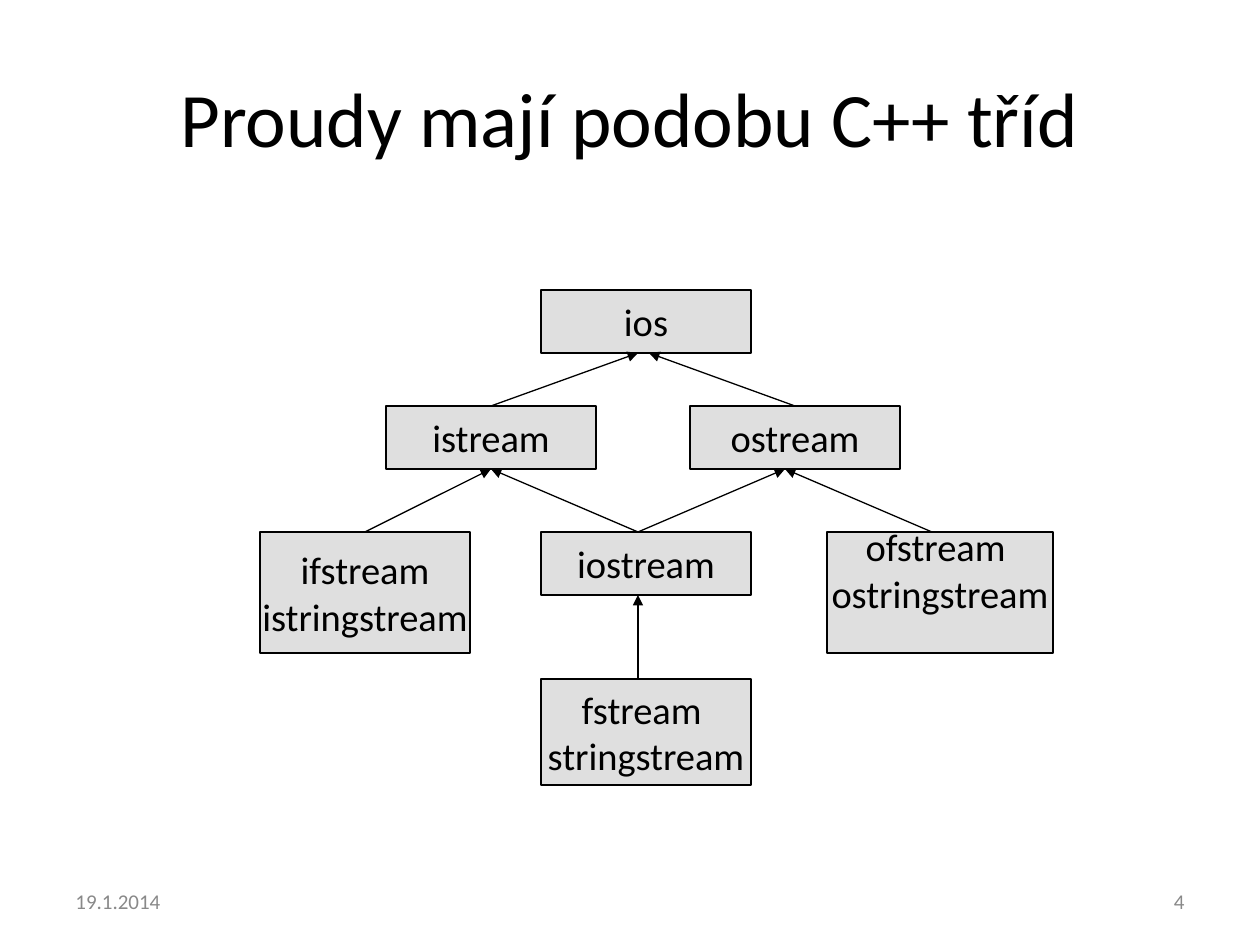
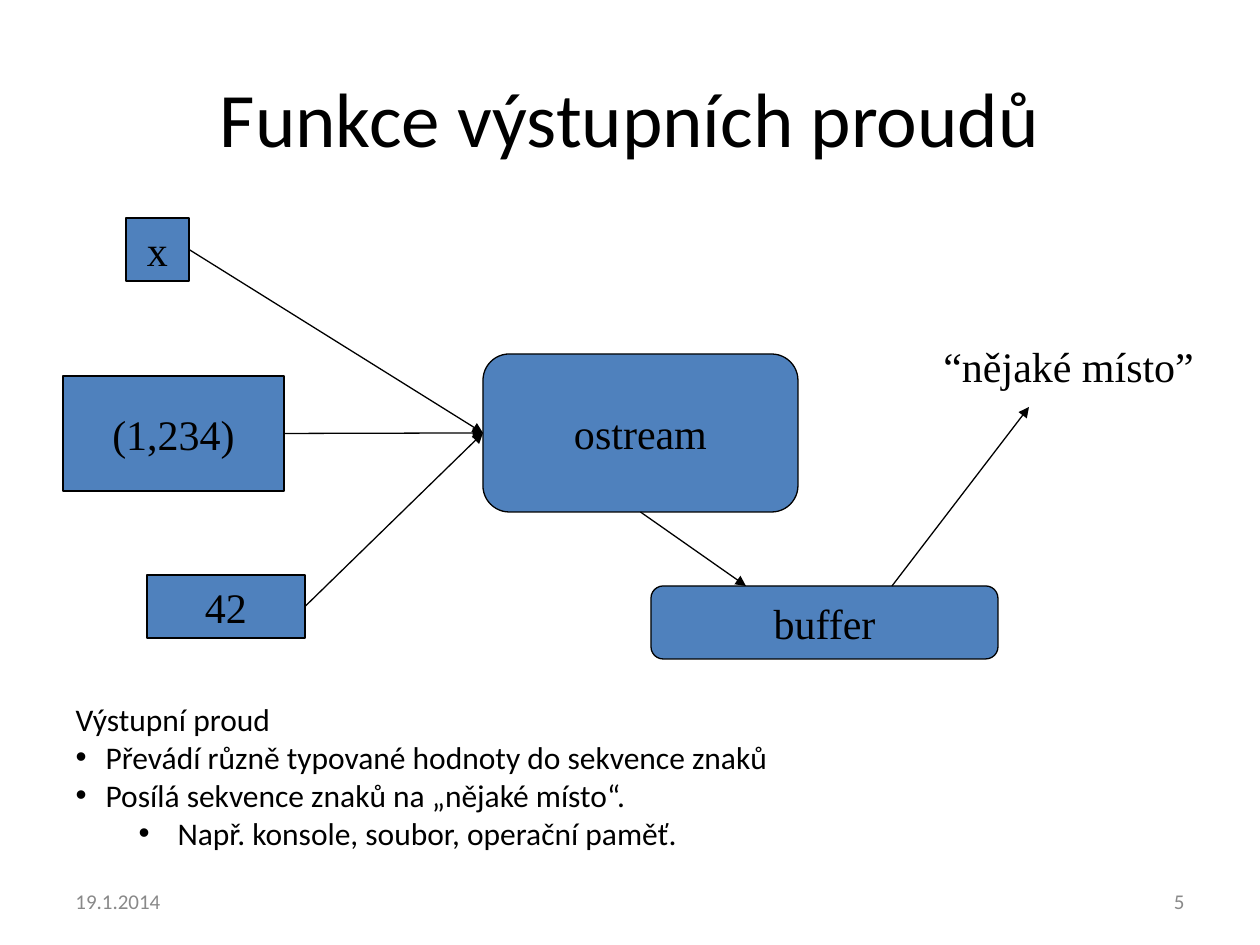
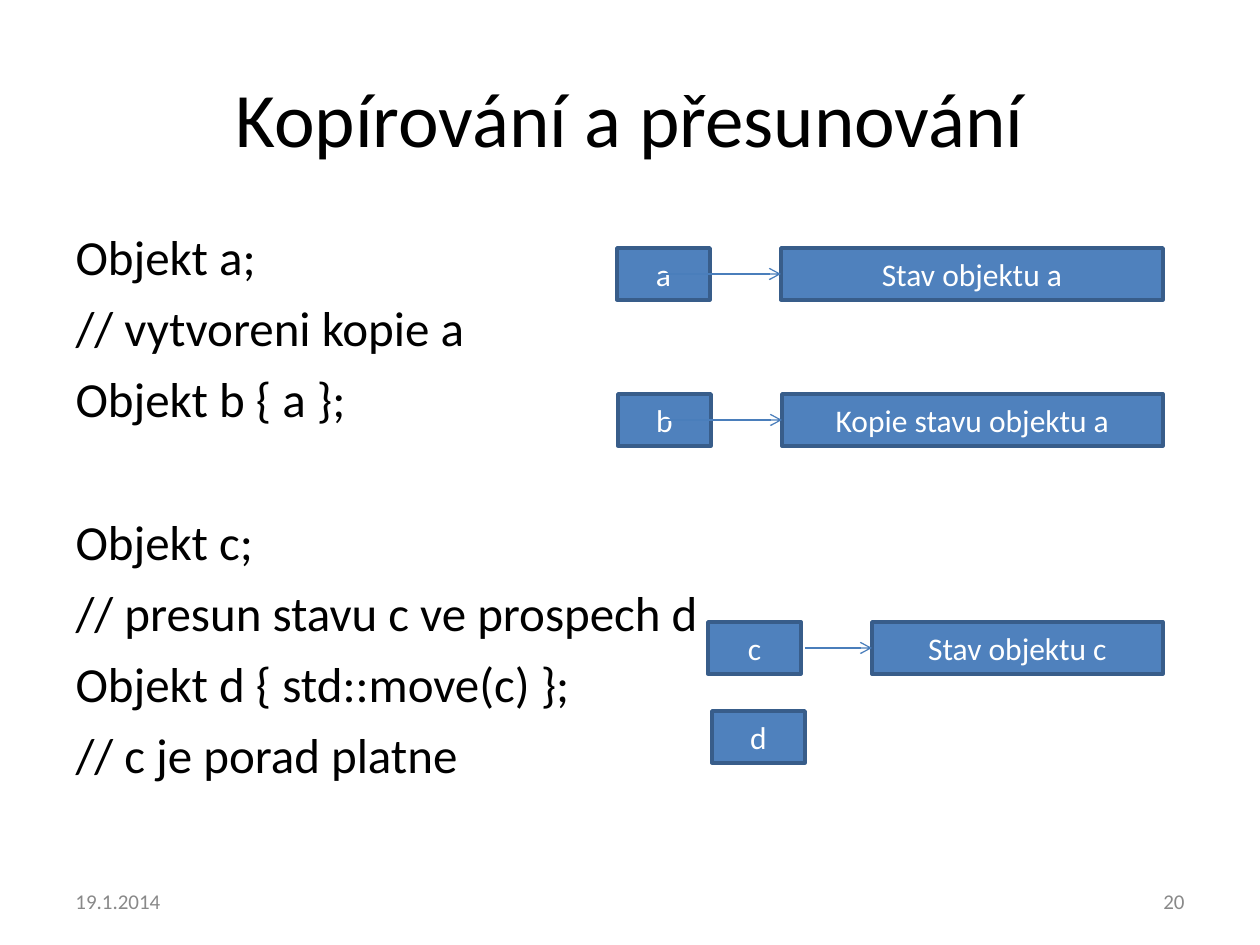
from dataclasses import dataclass

from lxml import etree
from pptx import Presentation
from pptx.dml.color import RGBColor
from pptx.enum.shapes import MSO_CONNECTOR, MSO_SHAPE
from pptx.enum.text import MSO_ANCHOR, MSO_AUTO_SIZE, PP_ALIGN
from pptx.oxml.ns import qn
from pptx.util import Emu, Pt

RECTANGLE, ROUNDED = MSO_SHAPE.RECTANGLE, MSO_SHAPE.ROUNDED_RECTANGLE
STRAIGHT = MSO_CONNECTOR.STRAIGHT
LEFT, CENTER, RIGHT = PP_ALIGN.LEFT, PP_ALIGN.CENTER, PP_ALIGN.RIGHT
TOP, MIDDLE = MSO_ANCHOR.TOP, MSO_ANCHOR.MIDDLE
NO_FIT = MSO_AUTO_SIZE.NONE
TOP_SIDE, LEFT_SIDE, BOTTOM_SIDE, RIGHT_SIDE = range(4)

PX_PER_INCH = 126
TITLE_AND_BODY, TITLE_ONLY = 1, 5


@dataclass(frozen=True)
class Theme:
    sans: str = "Calibri"
    serif: str = "Times New Roman"
    black: str = "000000"
    white: str = "FFFFFF"
    muted: str = "898989"
    silver: str = "C0C0C0"
    blue: str = "4F81BD"
    blue_edge: str = "385D8A"
    blue_line: str = "4A7EBB"
    title_size: int = 44
    code_size: int = 28
    flow_size: int = 24
    class_size: int = 22
    text_size: int = 18
    footer_size: int = 12
    thin: float = 0.75
    thick: float = 2


THEME = Theme()


@dataclass(frozen=True)
class Area:
    left: int
    top: int
    width: int
    height: int


@dataclass(frozen=True)
class TextStyle:
    size: int
    font: str = THEME.sans
    color: str = THEME.black
    align: PP_ALIGN = LEFT


@dataclass(frozen=True)
class Line:
    """One paragraph; a hang above zero gives it a bullet."""
    text: str
    level: int = 0
    before: int = 0
    margin: int = 0
    hang: int = 0


@dataclass(frozen=True)
class BoxStyle:
    text: TextStyle
    fill: str
    edge: str
    edge_width: float
    opacity: int = 100
    wrap: bool = False


@dataclass(frozen=True)
class Node:
    name: str
    area: Area
    text: str
    shape: MSO_SHAPE = RECTANGLE
    bottom_inset: int = 6


@dataclass(frozen=True)
class Point:
    x: int
    y: int


@dataclass(frozen=True)
class Joint:
    name: str
    side: int


@dataclass(frozen=True)
class Arrow:
    start: Point | Joint
    end: Point | Joint


TITLE_AREA = Area(63, 38, 1134, 157)
DATE_AREA = Area(63, 876, 294, 50)
NUMBER_AREA = Area(903, 876, 294, 50)
DATE = "19.1.2014"

TITLE_TEXT = TextStyle(THEME.title_size, align=CENTER)
CLASS_BOX = BoxStyle(TextStyle(THEME.class_size, align=CENTER),
                     THEME.silver, THEME.black, THEME.thin, opacity=50)
FLOW_BOX = BoxStyle(TextStyle(THEME.flow_size, THEME.serif, align=CENTER),
                    THEME.blue, THEME.black, THEME.thin)
STATE_BOX = BoxStyle(TextStyle(THEME.text_size, color=THEME.white, align=CENTER),
                     THEME.blue, THEME.blue_edge, THEME.thick, wrap=True)


def px(length: int) -> Emu:
    return Emu(round(length * 914400 / PX_PER_INCH))


def rgb(color: str) -> RGBColor:
    return RGBColor.from_string(color)


def place(box, area: Area) -> None:
    box.left, box.top = px(area.left), px(area.top)
    box.width, box.height = px(area.width), px(area.height)


def write(box, lines: list[Line], style: TextStyle, anchor: MSO_ANCHOR,
          wrap: bool = True) -> None:
    frame = box.text_frame
    frame.word_wrap = wrap
    frame.auto_size = NO_FIT
    frame.vertical_anchor = anchor
    for index, line in enumerate(lines):
        para = frame.paragraphs[0] if index == 0 else frame.add_paragraph()
        para.alignment = style.align
        para.level = line.level
        para.space_before = Pt(line.before)
        set_bullet(para, line)
        span = para.add_run()
        span.text = line.text
        span.font.name = style.font
        span.font.size = Pt(style.size)
        span.font.color.rgb = rgb(style.color)


def set_bullet(para, line: Line) -> None:
    properties = para._p.get_or_add_pPr()
    properties.set("marL", str(px(line.margin)))
    properties.set("indent", str(px(-line.hang)))
    if line.hang:
        etree.SubElement(properties, qn("a:buFont")).set("typeface", "Arial")
        etree.SubElement(properties, qn("a:buChar")).set("char", "•")
    else:
        etree.SubElement(properties, qn("a:buNone"))


def add_label(page, area: Area, text: str, style: TextStyle, anchor: MSO_ANCHOR) -> None:
    box = page.shapes.add_textbox(0, 0, 0, 0)
    place(box, area)
    write(box, [Line(text)], style, anchor)


def add_page(deck, layout: int, title: str, number: int):
    """Add a slide with its title, date and slide number."""
    page = deck.slides.add_slide(deck.slide_layouts[layout])
    place(page.shapes.title, TITLE_AREA)
    write(page.shapes.title, [Line(title)], TITLE_TEXT, MIDDLE)
    for area, text, align in ((DATE_AREA, DATE, LEFT), (NUMBER_AREA, str(number), RIGHT)):
        style = TextStyle(THEME.footer_size, color=THEME.muted, align=align)
        add_label(page, area, text, style, MIDDLE)
    return page


def fill_body(page, area: Area, lines: list[Line], size: int) -> None:
    body = page.placeholders[1]
    place(body, area)
    write(body, lines, TextStyle(size), TOP)


def add_node(page, node: Node, style: BoxStyle):
    box = page.shapes.add_shape(node.shape, 0, 0, 0, 0)
    place(box, node.area)
    box.shadow.inherit = False
    box.fill.solid()
    box.fill.fore_color.rgb = rgb(style.fill)
    if style.opacity < 100:
        color = box.element.spPr.find(qn("a:solidFill")).find(qn("a:srgbClr"))
        etree.SubElement(color, qn("a:alpha")).set("val", str(style.opacity * 1000))
    box.line.color.rgb = rgb(style.edge)
    box.line.width = Pt(style.edge_width)
    lines = [Line(text) for text in node.text.split("\n")]
    write(box, lines, style.text, MIDDLE, style.wrap)
    box.text_frame.margin_bottom = px(node.bottom_inset)
    return box


def add_arrow(page, arrow: Arrow, boxes: dict, color: str, head: str) -> None:
    line = page.shapes.add_connector(STRAIGHT, 0, 0, 0, 0)
    if isinstance(arrow.start, Joint):
        line.begin_connect(boxes[arrow.start.name], arrow.start.side)
    else:
        line.begin_x, line.begin_y = px(arrow.start.x), px(arrow.start.y)
    if isinstance(arrow.end, Joint):
        line.end_connect(boxes[arrow.end.name], arrow.end.side)
    else:
        line.end_x, line.end_y = px(arrow.end.x), px(arrow.end.y)
    line.line.color.rgb = rgb(color)
    line.line.width = Pt(THEME.thin)
    properties = line.element.spPr
    etree.SubElement(properties.find(qn("a:ln")), qn("a:tailEnd")).set("type", head)
    etree.SubElement(properties, qn("a:effectLst"))


def add_diagram(page, nodes: list[Node], arrows: list[Arrow], style: BoxStyle,
                color: str = THEME.black, head: str = "triangle") -> None:
    boxes = {node.name: add_node(page, node, style) for node in nodes}
    for arrow in arrows:
        add_arrow(page, arrow, boxes, color, head)


def build_class_tree(deck) -> None:
    page = add_page(deck, TITLE_ONLY, "Proudy mají podobu C++ tříd", 4)
    width, height, tall = 210, 63, 121
    middle, row_1, row_2, row_3, row_4 = 541, 290, 406, 532, 679
    nodes = [
        Node("ios", Area(middle, row_1, width, height), "ios"),
        Node("istream", Area(386, row_2, width, height), "istream"),
        Node("ostream", Area(690, row_2, width, height), "ostream"),
        Node("iostream", Area(middle, row_3, width, height), "iostream"),
        Node("ifstream", Area(260, row_3, width, tall), "ifstream\nistringstream"),
        Node("ofstream", Area(827, row_3, 226, tall), "ofstream \nostringstream",
             bottom_inset=52),
        Node("fstream", Area(middle, row_4, width, 106), "fstream \nstringstream"),
    ]
    # Some arrows meet a box beside the middle of its side
    iostream_top = Point(638, row_3)
    ostream_bottom = Point(785, row_2 + height)
    istream_bottom = Joint("istream", BOTTOM_SIDE)
    arrows = [
        Arrow(Point(638, row_4), Point(638, row_3 + height)),
        Arrow(iostream_top, ostream_bottom),
        Arrow(iostream_top, istream_bottom),
        Arrow(Joint("ifstream", TOP_SIDE), istream_bottom),
        Arrow(Point(932, row_3), ostream_bottom),
        Arrow(Joint("istream", TOP_SIDE), Point(638, row_1 + height)),
        Arrow(Joint("ostream", TOP_SIDE), Point(649, row_1 + height)),
    ]
    add_diagram(page, nodes, arrows, CLASS_BOX)


def build_output_flow(deck) -> None:
    page = add_page(deck, TITLE_AND_BODY, "Funkce výstupních proudů", 5)
    values = [
        Node("char", Area(126, 218, 63, 63), "x"),
        Node("complex", Area(63, 376, 221, 115), "(1,234)"),
        Node("integer", Area(147, 575, 158, 63), "42"),
    ]
    targets = [
        Node("ostream", Area(483, 354, 315, 158), "ostream", ROUNDED),
        Node("buffer", Area(651, 586, 347, 73), "buffer", ROUNDED),
    ]
    arrows = [Arrow(Joint(value.name, RIGHT_SIDE), Joint("ostream", LEFT_SIDE))
              for value in values]
    arrows += [
        Arrow(Joint("ostream", BOTTOM_SIDE), Point(746, 586)),
        Arrow(Point(892, 586), Point(1029, 407)),
    ]
    add_diagram(page, values + targets, arrows, FLOW_BOX)
    add_label(page, Area(931, 334, 278, 63), "“nějaké místo”",
              TextStyle(THEME.flow_size, THEME.serif), TOP)
    # Explanation below the diagram
    fill_body(page, Area(63, 694, 1144, 164), [
        Line("Výstupní proud"),
        Line("Převádí různě typované hodnoty do sekvence znaků", margin=30, hang=30),
        Line("Posílá sekvence znaků na „nějaké místo“.", margin=30, hang=30),
        Line("Např. konsole, soubor, operační paměť.", level=1, margin=102, hang=39),
    ], THEME.text_size)


def build_copy_and_move(deck) -> None:
    page = add_page(deck, TITLE_AND_BODY, "Kopírování a přesunování", 20)
    gap, group_gap = 7, 48
    fill_body(page, Area(63, 220, 1134, 624), [
        Line("Objekt a;", before=gap),
        Line("// vytvoreni kopie a", before=gap),
        Line("Objekt b { a };", before=gap),
        Line("Objekt c;", before=group_gap),
        Line("// presun stavu c ve prospech d", before=gap),
        Line("Objekt d { std::move(c) };", before=gap),
        Line("// c je porad platne", before=gap),
    ], THEME.code_size)
    # Each variable points at its state, which ends at a shared right edge
    width, height, right_edge, step = 93, 52, 1163, 164
    nodes, arrows = [], []
    for name, left, top, start, state in (
        ("a", 617, 248, 664, "Stav objektu a"),
        ("b", 618, 394, 665, "Kopie stavu objektu a"),
        ("c", 708, 622, 805, "Stav objektu c"),
    ):
        state_left = left + step
        nodes += [
            Node(name, Area(left, top, width, height), name),
            Node(state, Area(state_left, top, right_edge - state_left, height), state),
        ]
        arrows.append(Arrow(Point(start, top + height // 2), Joint(state, LEFT_SIDE)))
    nodes.append(Node("d", Area(712, 711, width, height), "d"))
    add_diagram(page, nodes, arrows, STATE_BOX, THEME.blue_line, "arrow")


def main() -> None:
    deck = Presentation()
    deck.slide_width, deck.slide_height = px(1260), px(945)
    build_class_tree(deck)
    build_output_flow(deck)
    build_copy_and_move(deck)
    deck.save("out.pptx")


if __name__ == "__main__":
    main()
